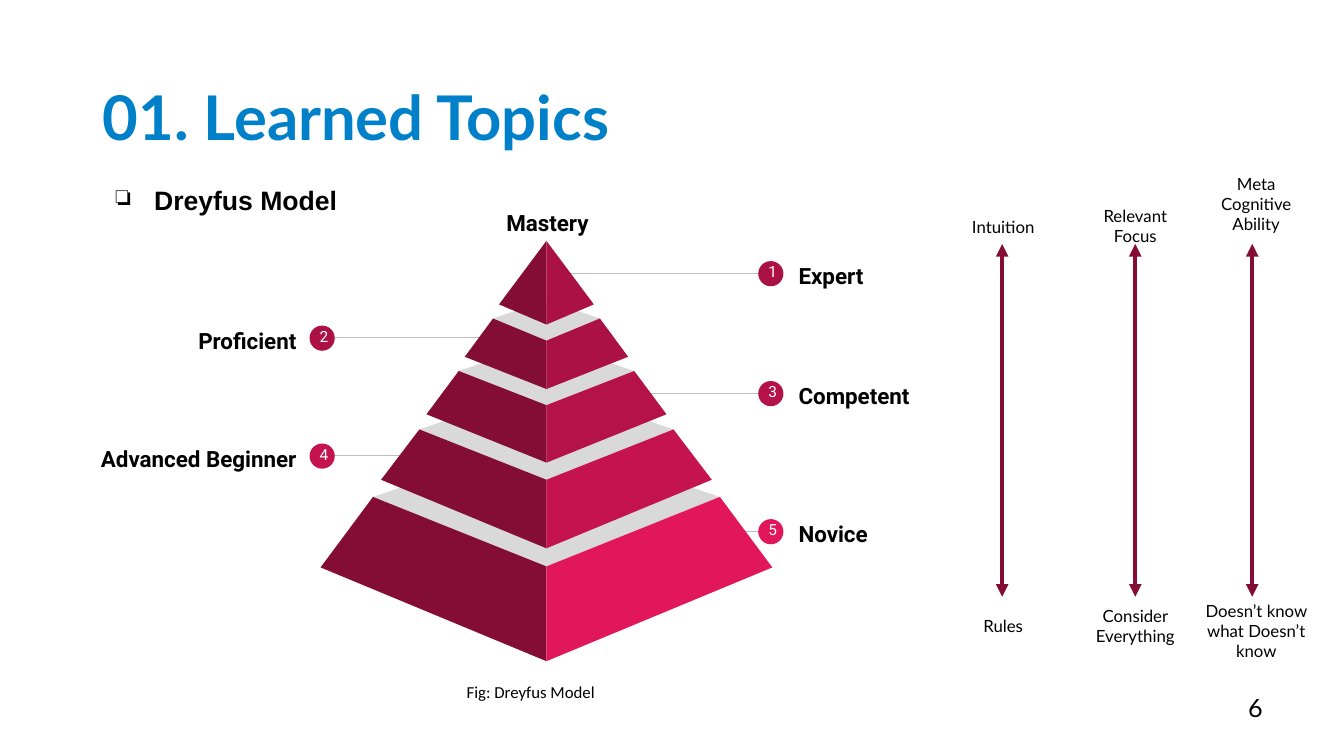
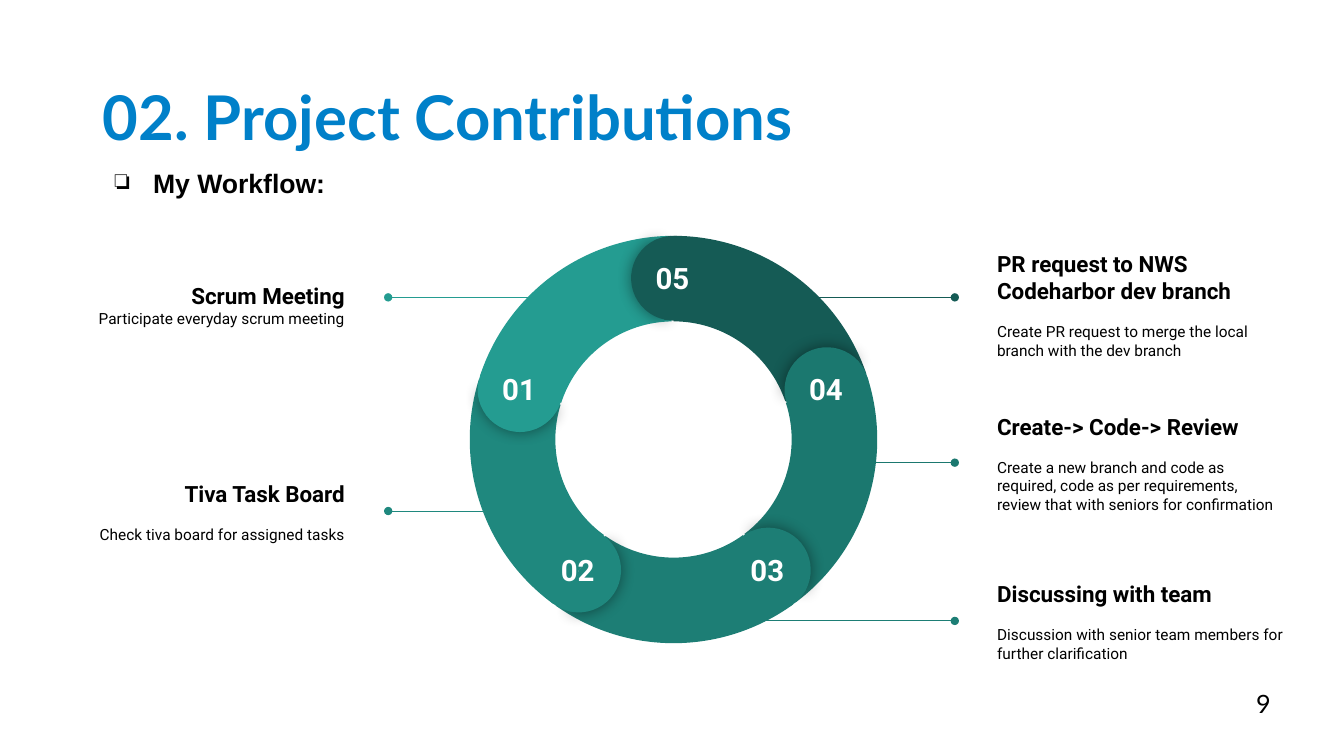
from dataclasses import dataclass
from math import cos, radians, sin
from typing import NamedTuple, Optional

from lxml import etree
from pptx import Presentation
from pptx import util as u
from pptx.dml.color import RGBColor
from pptx.enum import shapes, text
from pptx.oxml.ns import qn

LEFT, CENTER, RIGHT = text.PP_ALIGN.LEFT, text.PP_ALIGN.CENTER, text.PP_ALIGN.RIGHT
TOP, MIDDLE = text.MSO_ANCHOR.TOP, text.MSO_ANCHOR.MIDDLE


class Style(NamedTuple):
    font: str
    size: float
    color: str = "000000"
    bold: bool = False


@dataclass(frozen=True)
class Theme:
    title: Style = Style("Lato", 44, "0080C9", True)
    page: Style = Style("Lato", 18)
    heading: Style = Style("Arial", 19, bold=True)
    label: Style = Style("Roboto", 16, bold=True)
    body: Style = Style("Roboto", 11)
    badge: Style = Style("Roboto", 11, "FFFFFF")
    step: Style = Style("Roboto", 21, "FFFFFF", True)
    axis: Style = Style("Lato", 12)
    caption: Style = Style("Calibri", 12)
    dark: str = "840D35"
    lid: str = "D9D9D9"
    rule: str = "BDBDBD"


class Box(NamedTuple):
    x: float
    y: float
    w: float
    h: float


@dataclass(frozen=True)
class Tier:
    top_half: float
    top_side: float
    top_mid: float
    base_half: float
    base_side: float
    base_mid: float
    color: str
    lid_back: Optional[float] = None


@dataclass(frozen=True)
class Level:
    number: str
    name: str
    y: float
    line_x: float
    color: str
    on_right: bool


@dataclass(frozen=True)
class Axis:
    x: float
    label_x: float
    high: str
    high_y: float
    high_w: float
    low: str
    low_y: float
    low_w: float


@dataclass(frozen=True)
class Step:
    number: str
    color: str
    name: str
    detail: str
    line_x: float
    line_y: float
    text_y: float
    on_right: bool
    gap: float = 13


THEME = Theme()
APEX_X = 5.42
TIERS = [
    Tier(1.72, 4.93, 5.62, 2.24, 5.63, 6.56, "E1165B", 4.35),
    Tier(1.26, 4.26, 4.76, 1.64, 4.76, 5.44, "C4134F", 3.83),
    Tier(0.87, 3.68, 4.02, 1.19, 4.11, 4.59, "B6124A", 3.39),
    Tier(0.53, 3.16, 3.38, 0.81, 3.54, 3.86, "AC1146", 2.98),
    Tier(0, 2.39, 2.39, 0.47, 3.02, 3.22, "AC1146"),
]
LEVELS = [
    Level("1", "Expert", 2.71, 5.63, "AC1146", True),
    Level("2", "Proficient", 3.35, 4.78, "AC1146", False),
    Level("3", "Competent", 3.9, 6.31, "B6124A", True),
    Level("4", "Advanced Beginner", 4.52, 4.21, "C4134F", False),
    Level("5", "Novice", 5.27, 6.96, "E1165B", True),
]
AXES = [
    Axis(9.94, 9.95, "Intuition", 2.05, 0.89, "Rules", 6.01, 0.89),
    Axis(11.26, 11.26, "Relevant Focus", 1.94, 0.89, "Consider Everything", 5.91, 1.06),
    Axis(12.42, 12.46, "Meta Cognitive Ability", 1.62, 1.06,
         "Doesn’t know what Doesn’t know", 5.86, 1.22),
]
STEPS = [
    Step("05", "155B55", "PR request to NWS Codeharbor dev branch",
         "Create PR request to merge the local branch with the dev branch",
         7.6, 2.95, 2.35, True),
    Step("04", "1B786F", "Create-> Code-> Review",
         "Create a new branch and code as required, code as per requirements, "
         "review that with seniors for confirmation", 8.18, 4.59, 3.92, True),
    Step("03", "1D7E75", "Discussing with team",
         "Discussion with senior team members for further clarification",
         6.79, 6.16, 5.49, True),
    Step("02", "1F887E", "Tiva Task Board", "Check tiva board for assigned tasks",
         5.21, 5.07, 4.4, False),
    Step("01", "249C91", "Scrum Meeting", "Participate everyday scrum meeting",
         5.64, 2.95, 2.35, False, 0),
]


def emu(values) -> list:
    return [u.Inches(v) for v in values]


def format_paragraph(p, style: Style, align=LEFT) -> None:
    p.alignment = align
    for r in p.runs:
        r.font.name = style.font
        r.font.size = u.Pt(style.size)
        r.font.bold = style.bold
        r.font.color.rgb = RGBColor.from_string(style.color)


def add_text(s, box: Box, content: str, style: Style, align=LEFT, anchor=TOP,
             inset=(0.1, 0.1), spacing: Optional[float] = None):
    tf = s.shapes.add_textbox(*emu(box)).text_frame
    tf.word_wrap = True
    tf.vertical_anchor = anchor
    tf.margin_left = tf.margin_right = u.Inches(inset[0])
    tf.margin_top = tf.margin_bottom = u.Inches(inset[1])
    p = tf.paragraphs[0]
    p.text = content
    if spacing:
        p.line_spacing = spacing
    format_paragraph(p, style, align)
    return tf


def add_heading(s, x: float, y: float, content: str) -> None:
    tf = add_text(s, Box(x, y, 4.39, 0.52), content, THEME.heading)
    pPr = tf.paragraphs[0]._p.get_or_add_pPr()
    pPr.set("marL", str(u.Inches(0.5)))
    pPr.set("indent", str(u.Inches(-0.38)))
    color = etree.SubElement(pPr, qn("a:buClr"))
    etree.SubElement(color, qn("a:srgbClr"), val=THEME.heading.color)
    etree.SubElement(pPr, qn("a:buChar"), char="❏")


def paint(sp, color: str) -> None:
    sp.shadow.inherit = False
    sp.fill.solid()
    sp.fill.fore_color.rgb = RGBColor.from_string(color)
    sp.line.fill.background()


def add_preset(s, kind, box: Box, color: str, rotation: float = 0, adjust=()):
    sp = s.shapes.add_shape(kind, *emu(box))
    paint(sp, color)
    sp.rotation = rotation % 360
    for i, value in enumerate(adjust):
        sp.adjustments[i] = value
    return sp


def add_outline(s, points: list, color: str) -> None:
    start, *rest = [tuple(emu(point)) for point in dict.fromkeys(points)]
    builder = s.shapes.build_freeform(*start, scale=1.0)
    builder.add_line_segments(rest, close=True)
    paint(builder.convert_to_shape(), color)


def add_line(s, start: tuple, end: tuple, color: str, width: float = 0.75,
             head: Optional[str] = None, tail: Optional[str] = None) -> None:
    c = s.shapes.add_connector(shapes.MSO_CONNECTOR.STRAIGHT, *emu(start + end))
    c.line.width = u.Pt(width)
    c.line.color.rgb = RGBColor.from_string(color)
    spPr = c._element.spPr
    ln = spPr.find(qn("a:ln"))
    for tag, kind in (("a:headEnd", head), ("a:tailEnd", tail)):
        if kind:
            etree.SubElement(ln, qn(tag), type=kind)
    etree.SubElement(spPr, qn("a:effectLst"))


def add_glow(sp) -> None:
    effects = sp._element.spPr.find(qn("a:effectLst"))
    shadow = etree.SubElement(effects, qn("a:outerShdw"), blurRad=str(u.Pt(11.2)),
                              dist="0", dir="0", algn="ctr", rotWithShape="0")
    color = etree.SubElement(shadow, qn("a:srgbClr"), val="000000")
    etree.SubElement(color, qn("a:alpha"), val="43000")


def new_slide(prs, title: str, page: str, page_x: float, page_y: float):
    s = prs.slides.add_slide(prs.slide_layouts[6])
    add_text(s, Box(0.92, 0.4, 11.5, 1.45), title, THEME.title,
             anchor=MIDDLE, inset=(0.1, 0.05), spacing=1.07)
    add_text(s, Box(page_x, page_y, 1.06, 0.4), page, THEME.page,
             anchor=MIDDLE, inset=(0.1, 0.05))
    return s


def add_level(s, level: Level) -> None:
    badge_x, line_end, label_x, align = (
        (7.52, 7.74, 7.79, LEFT) if level.on_right else (3.07, 3.13, 0.35, RIGHT))
    add_line(s, (level.line_x, level.y), (line_end, level.y), THEME.rule)
    add_preset(s, shapes.MSO_SHAPE.OVAL, Box(badge_x, level.y - 0.12, 0.25, 0.25),
               level.color)
    add_text(s, Box(badge_x - 0.03, level.y - 0.2, 0.32, 0.4), level.number,
             THEME.badge, CENTER, inset=(0.13, 0.13))
    add_text(s, Box(label_x, level.y - 0.47, 2.72, 0.95), level.name, THEME.label,
             align, MIDDLE, (0.13, 0.13), 1.15)


def add_tier(s, tier: Tier) -> None:
    mid = (APEX_X, tier.top_mid)
    if tier.lid_back:
        add_outline(s, [(APEX_X - tier.top_half, tier.top_side), mid,
                        (APEX_X + tier.top_half, tier.top_side),
                        (APEX_X, tier.lid_back)], THEME.lid)
    for side, color in ((-1, THEME.dark), (1, tier.color)):
        add_outline(s, [(APEX_X + side * tier.top_half, tier.top_side), mid,
                        (APEX_X, tier.base_mid),
                        (APEX_X + side * tier.base_half, tier.base_side)], color)


def add_axis(s, axis: Axis) -> None:
    add_line(s, (axis.x, 2.42), (axis.x, 5.92), THEME.dark, 3, "triangle", "triangle")
    for label, y, w in ((axis.high, axis.high_y, axis.high_w),
                        (axis.low, axis.low_y, axis.low_w)):
        add_text(s, Box(axis.label_x - w / 2, y, w, 0.6), label, THEME.axis, CENTER)


def build_topics(prs) -> None:
    s = new_slide(prs, "01. Learned Topics", "6", 12.28, 6.82)
    for level in LEVELS:
        add_level(s, level)
    for tier in TIERS:
        add_tier(s, tier)
    for axis in AXES:
        add_axis(s, axis)
    add_text(s, Box(4.07, 1.71, 2.72, 0.96), "Mastery", THEME.label, CENTER,
             MIDDLE, (0.13, 0.13), 1.15)
    add_text(s, Box(4.53, 6.66, 1.92, 0.4), "Fig: Dreyfus Model", THEME.caption)
    add_heading(s, 0.93, 1.72, "Dreyfus Model")


def add_step_text(s, step: Step) -> None:
    end_x, text_x, align = (9.47, 9.76, LEFT) if step.on_right else (3.85, 0.45, RIGHT)
    add_line(s, (step.line_x, step.line_y), (end_x, step.line_y), step.color, tail="oval")
    tf = add_text(s, Box(text_x, step.text_y, 3.1, 1.35), step.name, THEME.label,
                  align, MIDDLE, (0.13, 0.13))
    p = tf.add_paragraph()
    p.text = step.detail
    p.space_before = u.Pt(step.gap)
    p.space_after = u.Pt(21)
    format_paragraph(p, THEME.body, align)


def add_ring(s) -> None:
    center_x, center_y, outer, orbit, cap = 6.68, 4.36, 2.02, 1.6, 0.84
    turn = 360 / len(STEPS)
    ring = Box(center_x - outer, center_y - outer, 2 * outer, 2 * outer)
    for i, step in enumerate(STEPS):
        add_preset(s, shapes.MSO_SHAPE.BLOCK_ARC, ring, step.color, 60 + turn * i,
                   (126.03, 168.68, 0.21))
    for i, step in enumerate(STEPS):
        angle = radians(turn * i - 90)
        x = center_x + orbit * cos(angle) - cap / 2
        y = center_y + orbit * sin(angle) - cap / 2
        box, rotation = Box(x, y, cap, cap), 357.1 + turn * i
        add_glow(add_preset(s, shapes.MSO_SHAPE.PIE, box, step.color, rotation,
                            (61.9, 149.96)))
        add_preset(s, shapes.MSO_SHAPE.PIE, box, step.color, rotation + 179.3,
                   (40.28, 171.84))
        add_text(s, Box(x + 0.04, y + 0.11, 0.74, 0.39), step.number, THEME.step,
                 CENTER, inset=(0.13, 0.13))


def build_contributions(prs) -> None:
    s = new_slide(prs, "02. Project Contributions", "9", 12.36, 6.78)
    for step in STEPS:
        add_step_text(s, step)
    add_ring(s)
    add_heading(s, 0.92, 1.56, "My Workflow:")


def main() -> None:
    prs = Presentation()
    prs.slide_width, prs.slide_height = u.Inches(13.33), u.Inches(7.5)
    build_topics(prs)
    build_contributions(prs)
    prs.save("out.pptx")


if __name__ == "__main__":
    main()
